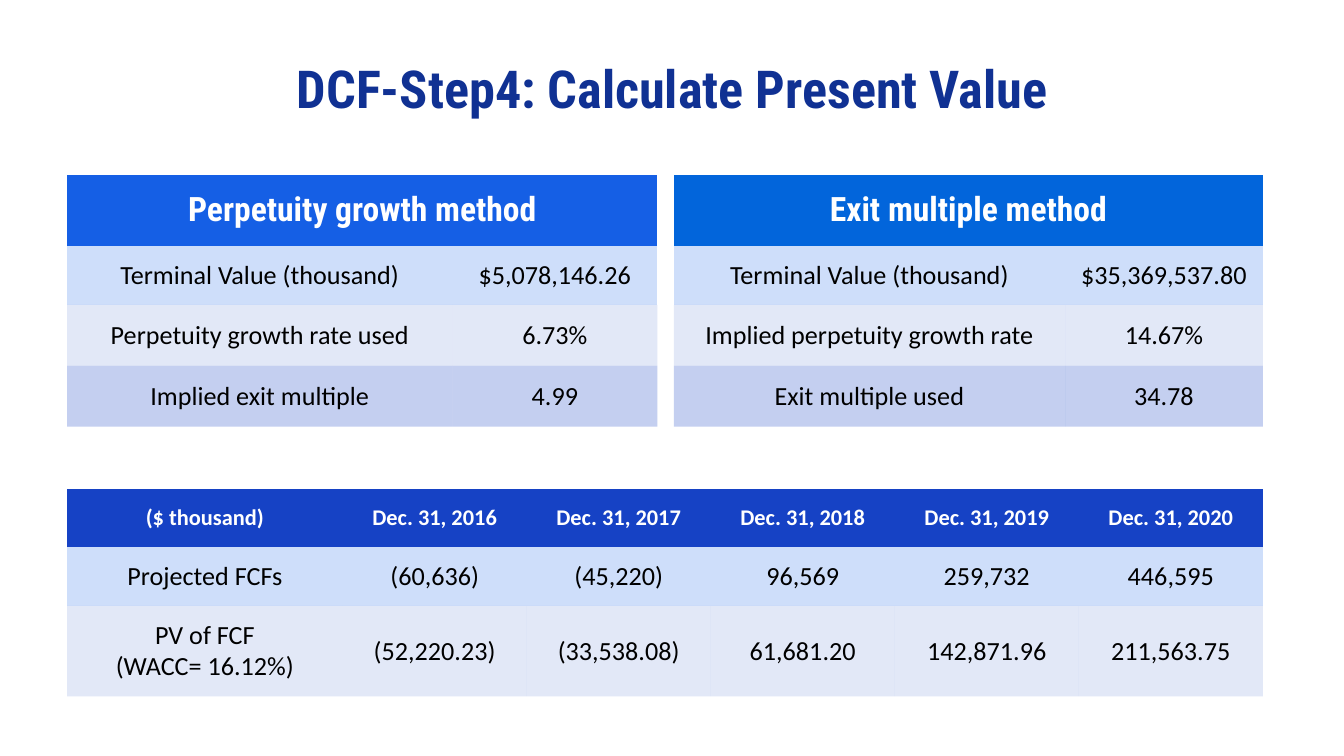
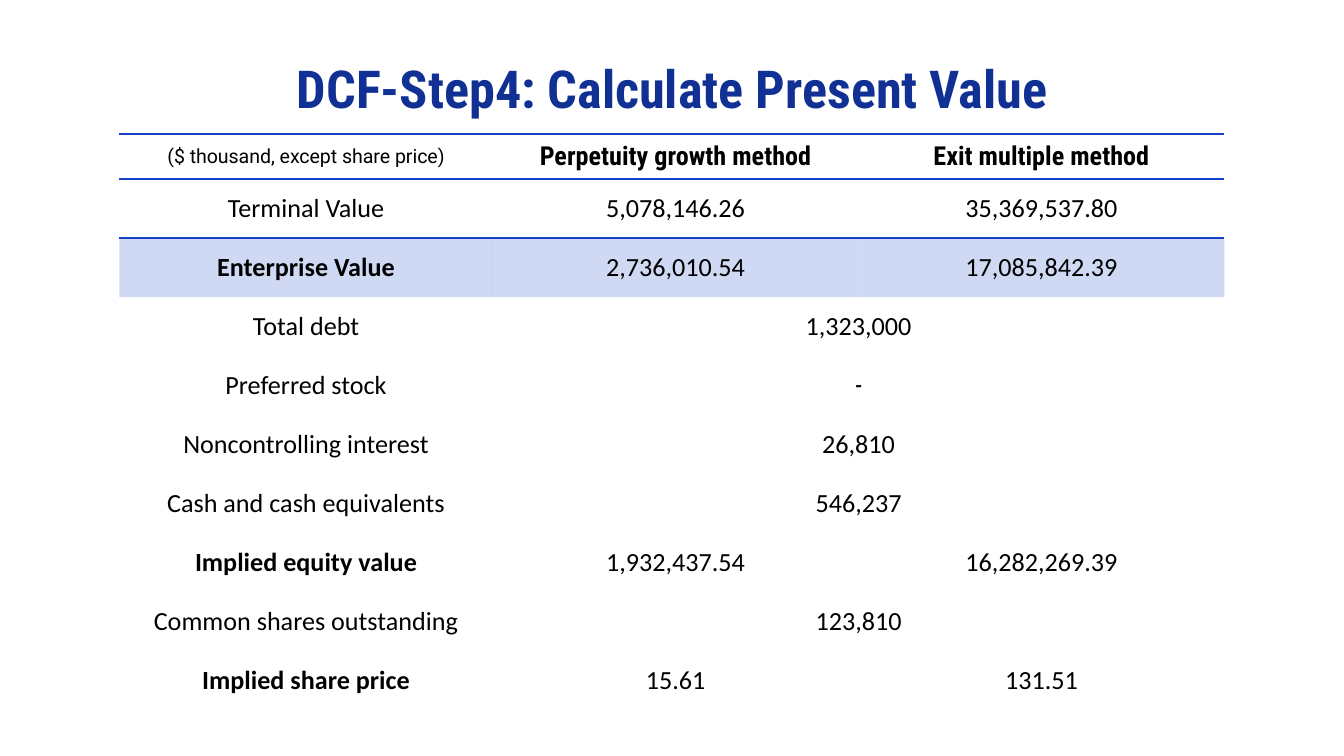
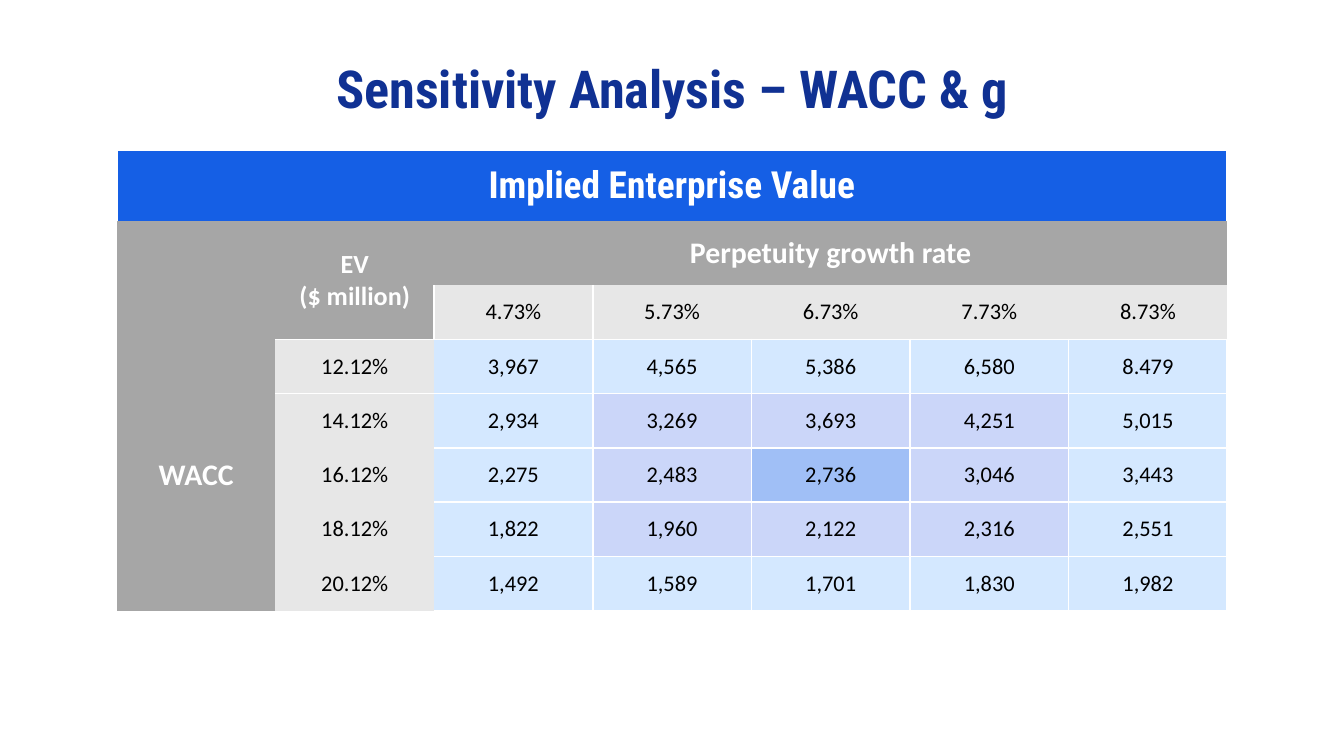
from dataclasses import dataclass

from lxml.etree import SubElement
from pptx import Presentation
from pptx.dml.color import RGBColor
from pptx.enum.text import MSO_ANCHOR, PP_ALIGN
from pptx.oxml.ns import qn
from pptx.util import Pt


@dataclass(frozen=True)
class Style:
    font: str
    size: float
    bold: bool
    color: str
    margin: float = 7.2


class Theme:
    navy, blue, bright, azure = "103193", "1642C5", "155FE5", "0265DB"
    pale, sky, lilac, focus = "CEDEFA", "D4E8FF", "CBD6F9", "A0BFF6"
    gray, light, white, black = "A6A6A6", "E7E7E7", "FFFFFF", "000000"
    band, highlight, strong = (blue, 12), (blue, 20), (blue, 25)
    no_style = "{2D5ABB26-0587-4C30-8999-92F81FD0307C}"
    title = Style("Roboto Condensed", 28, True, navy)
    banner = Style("Roboto Condensed", 20, True, white)
    method = Style("Roboto Condensed", 18, True, white)
    column = Style("Roboto Condensed", 14, True, black, 3.6)
    unit = Style("Roboto", 10.5, False, black, 3.6)
    date = Style("Calibri", 12, True, white, 3.6)
    axis = Style("Calibri", 16, True, white)
    corner = Style("Calibri", 14, True, white)
    body = Style("Calibri", 14, False, black)
    total = Style("Calibri", 14, True, black)
    dash = Style("Calibri", 11, True, black)
    small = Style("Calibri", 12, False, black)


PRESENT_VALUE = "DCF-Step4: Calculate Present Value"
SENSITIVITY = "Sensitivity Analysis – WACC & g"

METHODS = [
    ("Perpetuity growth method", Theme.bright, 36, (206.4, 109.8), [
        ("Terminal Value (thousand)", "$5,078,146.26"),
        ("Perpetuity growth rate used", "6.73%"),
        ("Implied exit multiple", "4.99"),
    ]),
    ("Exit multiple method", Theme.azure, 361, (209.6, 106), [
        ("Terminal Value (thousand)", "$35,369,537.80"),
        ("Implied perpetuity growth rate", "14.67%"),
        ("Exit multiple used", "34.78"),
    ]),
]

CASH_FLOWS = [
    ["($ thousand)"] + [f"Dec. 31, {year}" for year in range(2016, 2021)],
    ["Projected FCFs", "(60,636)", "(45,220)", "96,569", "259,732", "446,595"],
    ["PV of FCF\n(WACC= 16.12%)", "(52,220.23)", "(33,538.08)",
     "61,681.20", "142,871.96", "211,563.75"],
]

BRIDGE_HEAD = ["($ thousand, except share price)", "Perpetuity growth method", "Exit multiple method"]
BRIDGE = [
    ("Terminal Value", "5,078,146.26", "35,369,537.80"),
    ("Enterprise Value", "2,736,010.54", "17,085,842.39"),
    ("Total debt", "1,323,000"),
    ("Preferred stock", "-"),
    ("Noncontrolling interest", "26,810"),
    ("Cash and cash equivalents", "546,237"),
    ("Implied equity value", "1,932,437.54", "16,282,269.39"),
    ("Common shares outstanding", "123,810"),
    ("Implied share price", "15.61", "131.51"),
]
BOLD_LABELS = {"Enterprise Value", "Implied equity value", "Implied share price"}

GROWTH_RATES = ["4.73%", "5.73%", "6.73%", "7.73%", "8.73%"]
EV_BY_WACC = [
    ("12.12%", "3,967", "4,565", "5,386", "6,580", "8.479"),
    ("14.12%", "2,934", "3,269", "3,693", "4,251", "5,015"),
    ("16.12%", "2,275", "2,483", "2,736", "3,046", "3,443"),
    ("18.12%", "1,822", "1,960", "2,122", "2,316", "2,551"),
    ("20.12%", "1,492", "1,589", "1,701", "1,830", "1,982"),
]
RING_FILLS = [Theme.focus, Theme.lilac, Theme.sky]


def write(tf, text, style):
    tf.text = text
    for p in tf.paragraphs:
        p.alignment = PP_ALIGN.CENTER
        p.font.name = style.font
        p.font.size = Pt(style.size)
        p.font.bold = style.bold
        p.font.color.rgb = RGBColor.from_string(style.color)


def add_slide(prs, title):
    s = prs.slides.add_slide(prs.slide_layouts[5])
    sp = s.shapes.title
    sp.left, sp.top, sp.width, sp.height = Pt(36), Pt(32.4), Pt(648), Pt(29.5)
    tf = sp.text_frame
    tf.margin_left = tf.margin_right = tf.margin_top = tf.margin_bottom = Pt(7.2)
    tf.vertical_anchor = MSO_ANCHOR.MIDDLE
    write(tf, title, Theme.title)
    return s


def add_grid(s, left, top, widths, heights):
    frame = s.shapes.add_table(len(heights), len(widths), Pt(left), Pt(top),
                               Pt(sum(widths)), Pt(sum(heights)))
    frame.element.find(".//" + qn("a:tableStyleId")).text = Theme.no_style
    table = frame.table
    table.first_row = table.horz_banding = False
    for column, width in zip(table.columns, widths):
        column.width = Pt(width)
    for row, height in zip(table.rows, heights):
        row.height = Pt(height)
    return table


def put(cell, text="", style=Theme.body, fill=None, sides="", line=Theme.white):
    tcPr = cell._tc.get_or_add_tcPr()
    for side in "LRTB":
        if side in sides:
            ln = SubElement(tcPr, qn(f"a:ln{side}"), w=str(Pt(1)))
            SubElement(SubElement(ln, qn("a:solidFill")), qn("a:srgbClr"), val=line)
    if fill:
        color, alpha = fill if isinstance(fill, tuple) else (fill, 100)
        cell.fill.solid()
        cell.fill.fore_color.rgb = RGBColor.from_string(color)
        if alpha < 100:
            SubElement(tcPr.find(".//" + qn("a:solidFill"))[0], qn("a:alpha"), val=str(alpha * 1000))
    else:
        cell.fill.background()
    cell.vertical_anchor = MSO_ANCHOR.MIDDLE
    cell.margin_left = cell.margin_right = Pt(7.2)
    if text:
        cell.margin_top = cell.margin_bottom = Pt(style.margin)
        write(cell.text_frame, text, style)


def put_rows(table, first, rows, fills):
    for r, (row, fill) in enumerate(zip(rows, fills), first):
        for c, text in enumerate(row):
            put(table.cell(r, c), text, Theme.body, fill)


def build_methods(prs):
    s = add_slide(prs, PRESENT_VALUE)
    flows = add_grid(s, 36, 262, [147.6] + [98.6] * 5, [31, 31.6, 48.2])
    for c, text in enumerate(CASH_FLOWS[0]):
        put(flows.cell(0, c), text, Theme.date, Theme.blue)
    put_rows(flows, 1, CASH_FLOWS[1:], [Theme.pale, Theme.band])
    for name, fill, left, widths, rows in METHODS:
        table = add_grid(s, left, 93.8, widths, [38, 31.6, 32.6, 32.6])
        table.cell(0, 0).merge(table.cell(0, 1))
        put(table.cell(0, 0), name, Theme.method, fill)
        put_rows(table, 1, rows, [Theme.pale, Theme.band, Theme.strong])


def build_bridge(prs):
    s = add_slide(prs, PRESENT_VALUE)
    table = add_grid(s, 64, 71.8, [200, 196, 196], [24.2] + [31.6] * len(BRIDGE))
    for c, text in enumerate(BRIDGE_HEAD):
        put(table.cell(0, c), text, Theme.column if c else Theme.unit, sides="TB", line=Theme.blue)
    for r, row in enumerate(BRIDGE, 1):
        if len(row) == 2:
            table.cell(r, 1).merge(table.cell(r, 2))
        for c, text in enumerate(row):
            style = Theme.total if text in BOLD_LABELS else Theme.dash if text == "-" else Theme.body
            put(table.cell(r, c), text, style,
                Theme.highlight if row[0] == "Enterprise Value" else None,
                "T" if r == 1 else "", Theme.blue)


def build_sensitivity(prs):
    s = add_slide(prs, SENSITIVITY)
    table = add_grid(s, 62.6, 80.4, [85] * 7, [37.5, 34.3] + [28.9] * 6)
    for top, left, bottom, right in [(0, 0, 0, 6), (1, 1, 2, 1), (1, 2, 1, 6), (3, 0, 7, 0)]:
        table.cell(top, left).merge(table.cell(bottom, right))
    put(table.cell(0, 0), "Implied Enterprise Value", Theme.banner, Theme.bright, "LTR")
    for r in (1, 2):
        put(table.cell(r, 0), fill=Theme.gray)
    put(table.cell(1, 1), "EV\n($ million)", Theme.corner, Theme.gray, "B")
    put(table.cell(1, 2), "Perpetuity growth rate", Theme.axis, Theme.gray)
    put(table.cell(3, 0), "WACC", Theme.axis, Theme.gray)
    for c, rate in enumerate(GROWTH_RATES):
        put(table.cell(2, c + 2), rate, Theme.small, Theme.light, "B" if c else "LB")
    for r, (wacc, *values) in enumerate(EV_BY_WACC):
        put(table.cell(r + 3, 1), wacc, Theme.small, Theme.light, "" if r else "T")
        for c, value in enumerate(values):
            ring = max(abs(r - 2), abs(c - 2))
            put(table.cell(r + 3, c + 2), value, Theme.small, RING_FILLS[ring], "LRTB" if c else "RTB")


def main():
    prs = Presentation()
    prs.slide_width, prs.slide_height = Pt(720), Pt(405)
    build_methods(prs)
    build_bridge(prs)
    build_sensitivity(prs)
    prs.save("out.pptx")


if __name__ == "__main__":
    main()
